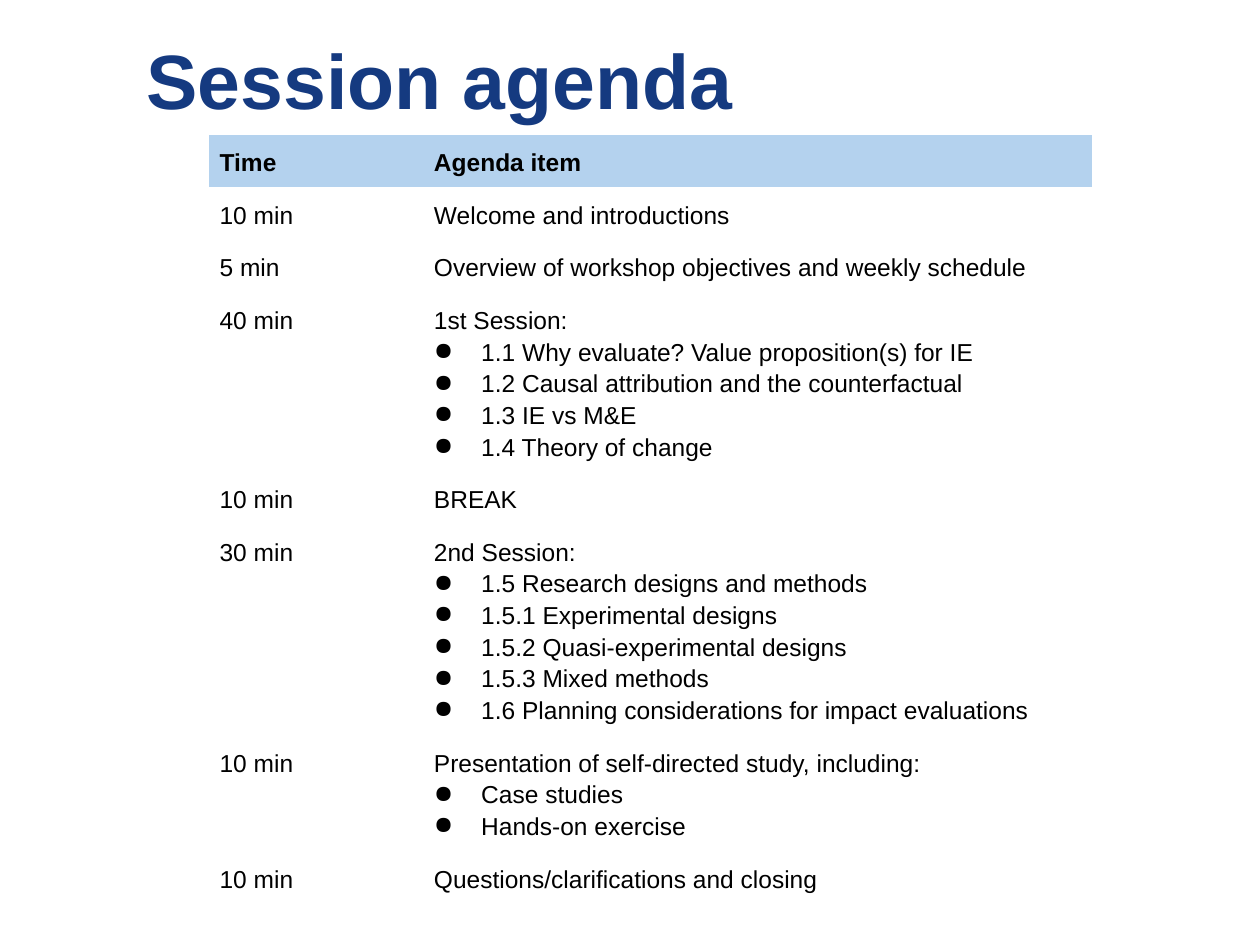
from dataclasses import dataclass

from lxml import etree
from pptx import Presentation
from pptx.dml.color import RGBColor
from pptx.enum import text
from pptx.oxml import ns
from pptx.util import Pt


@dataclass(frozen=True)
class Theme:
    font: str = "Arial"
    navy: str = "153A80"
    black: str = "000000"
    band: str = "B4D2EE"
    head: int = 44
    body: int = 14
    lead: float = 1.15
    pad: float = 6
    hang: float = 27


NO_GRID = "{2D5ABB26-0587-4C30-8999-92F81FD0307C}"
WIDTHS = (122.5, 382.25)
AGENDA = [
    # height, time, item, bullets
    (28, "Time", "Agenda item", []),
    (28, "10 min", "Welcome and introductions", []),
    (28, "5 min", "Overview of workshop objectives and weekly schedule", []),
    (74, "40 min", "1st Session:", [
        "1.1 Why evaluate? Value proposition(s) for IE",
        "1.2 Causal attribution and the counterfactual",
        "1.3 IE vs M&E",
        "1.4 Theory of change",
    ]),
    (28, "10 min", "BREAK", []),
    (74, "30 min", "2nd Session:", [
        "1.5 Research designs and methods",
        "1.5.1 Experimental designs",
        "1.5.2 Quasi-experimental designs",
        "1.5.3 Mixed methods",
        "1.6 Planning considerations for impact evaluations",
    ]),
    (58, "10 min", "Presentation of self-directed study, including:", [
        "Case studies",
        "Hands-on exercise",
    ]),
    (28, "10 min", "Questions/clarifications and closing", []),
]


class Deck:
    def __init__(self, theme):
        self.theme = theme
        self.prs = Presentation()
        self.prs.slide_width, self.prs.slide_height = Pt(720), Pt(540)
        self.slide = self.prs.slides.add_slide(self.prs.slide_layouts[5])

    def run(self, par, words, size, color, bold=False):
        run = par.add_run()
        run.text = words
        font = run.font
        font.name, font.size, font.bold = self.theme.font, Pt(size), bold
        font.color.rgb = RGBColor.from_string(color)

    def title(self, words, left, top, width, height):
        box = self.slide.shapes.title
        box.left, box.top = Pt(left), Pt(top)
        box.width, box.height = Pt(width), Pt(height)
        frame = box.text_frame
        frame.vertical_anchor = text.MSO_ANCHOR.MIDDLE
        par = frame.paragraphs[0]
        par.alignment = text.PP_ALIGN.LEFT
        self.run(par, words, self.theme.head, self.theme.navy, True)

    def bullet(self, par):
        props = par._p.get_or_add_pPr()
        props.set("marL", str(Pt(self.theme.hang)))
        props.set("indent", str(-Pt(self.theme.hang)))
        etree.SubElement(props, ns.qn("a:buChar")).set("char", "●")

    def cell(self, cell, lines, head):
        """Write the first line plain and the others as bullets."""
        pad = Pt(self.theme.pad)
        cell.margin_left = cell.margin_right = pad
        cell.margin_top = cell.margin_bottom = pad
        if head:
            cell.fill.solid()
            cell.fill.fore_color.rgb = RGBColor.from_string(self.theme.band)
        else:
            cell.fill.background()
        frame = cell.text_frame
        for i, line in enumerate(lines):
            par = frame.add_paragraph() if i else frame.paragraphs[0]
            if i:
                self.bullet(par)
            par.line_spacing = self.theme.lead
            self.run(par, line, self.theme.body, self.theme.black, head)

    def table(self, rows, widths, left, top):
        tall = sum(row[0] for row in rows)
        frame = self.slide.shapes.add_table(
            len(rows), len(widths), Pt(left), Pt(top), Pt(sum(widths)), Pt(tall))
        grid = frame.table
        grid.horz_banding = False
        grid._tbl.tblPr.find(ns.qn("a:tableStyleId")).text = NO_GRID
        for col, width in zip(grid.columns, widths):
            col.width = Pt(width)
        for i, (height, time, item, points) in enumerate(rows):
            grid.rows[i].height = Pt(height)
            self.cell(grid.cell(i, 0), [time], i == 0)
            self.cell(grid.cell(i, 1), [item, *points], i == 0)


def main():
    deck = Deck(Theme())
    deck.title("Session agenda", 76.5, 12.25, 623.5, 65)
    deck.table(AGENDA, WIDTHS, 119.5, 77)
    deck.prs.save("out.pptx")


if __name__ == "__main__":
    main()
